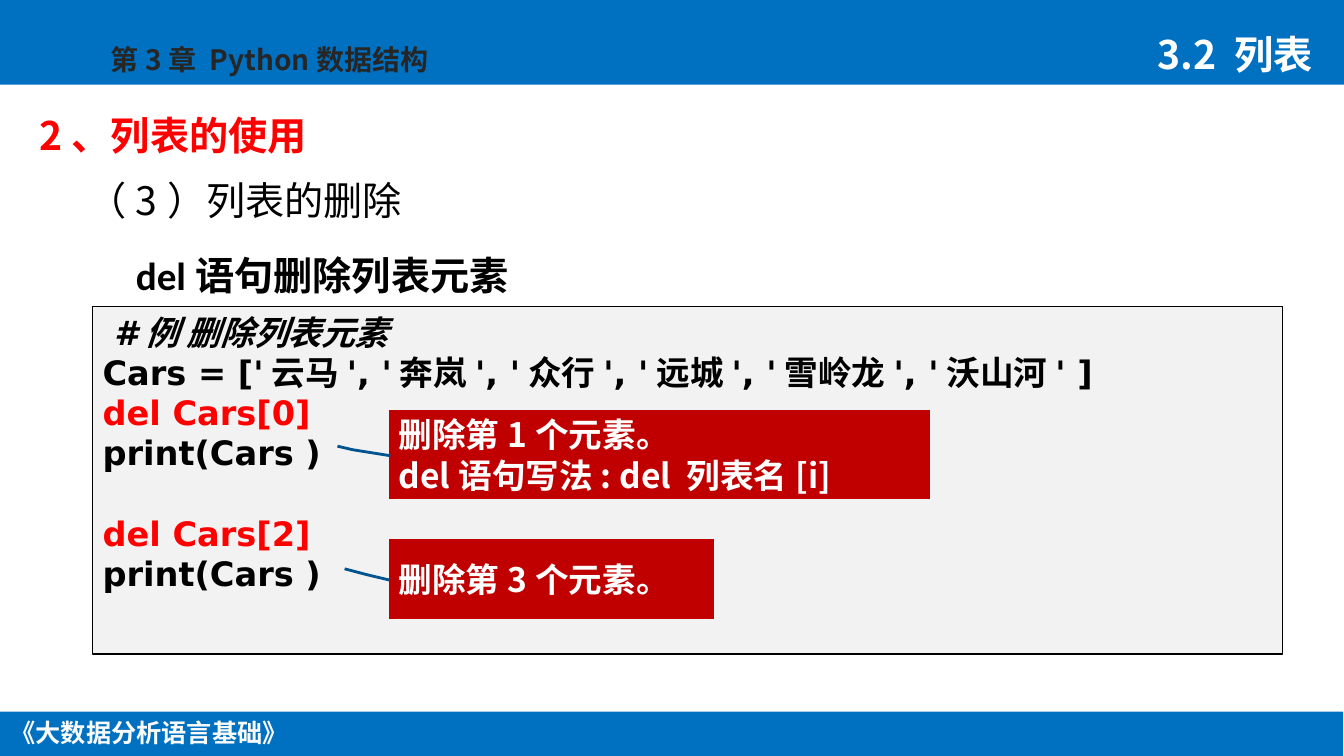
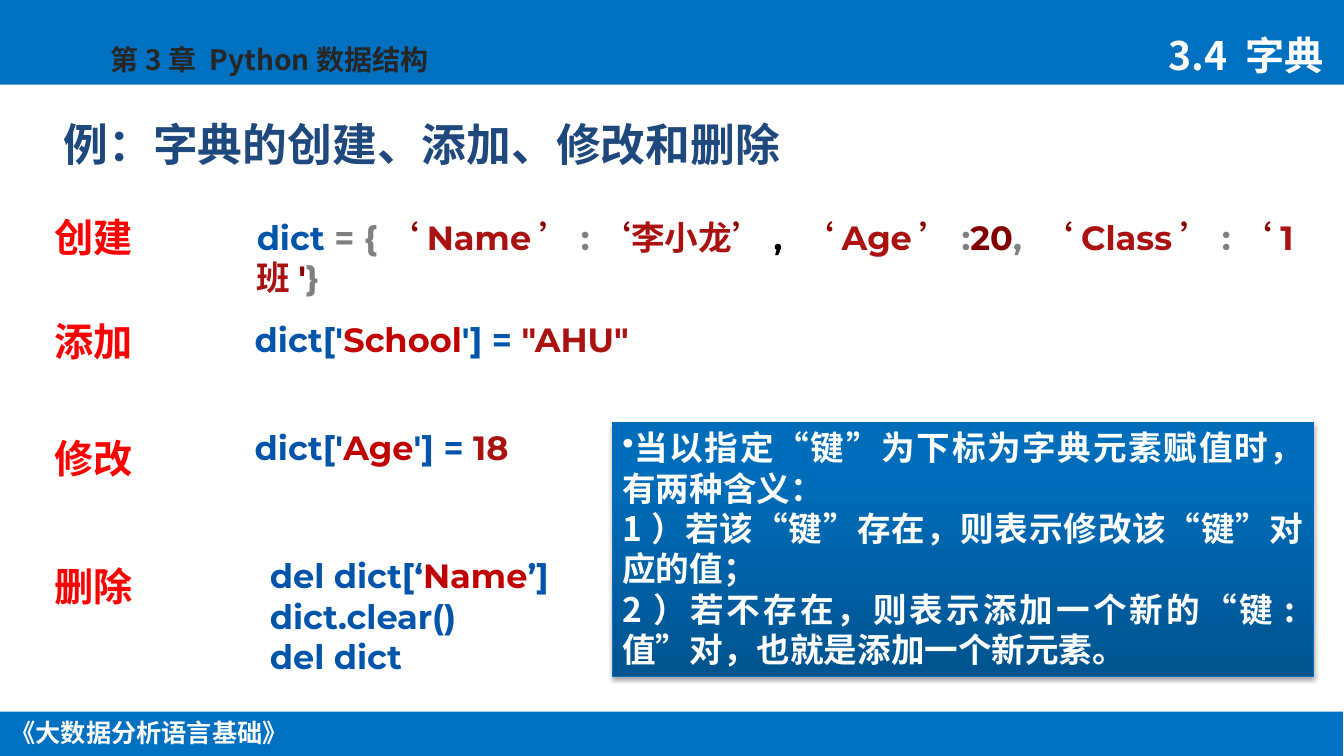
from dataclasses import dataclass

from lxml.etree import SubElement
from pptx import Presentation
from pptx.dml.color import RGBColor
from pptx.enum.shapes import MSO_SHAPE
from pptx.enum.text import MSO_ANCHOR, MSO_AUTO_SIZE, PP_ALIGN
from pptx.oxml import parse_xml
from pptx.oxml.ns import nsdecls, qn
from pptx.shapes.autoshape import Shape
from pptx.slide import Slide, SlideLayout
from pptx.util import Inches, Pt

BAND_BLUE = RGBColor(0x00, 0x70, 0xC0)
BOOK_WHITE = RGBColor(0xFA, 0xFA, 0xFA)
CHAPTER_GRAY = RGBColor(0x26, 0x26, 0x26)
WHITE = RGBColor(0xFF, 0xFF, 0xFF)
BLACK = RGBColor(0x00, 0x00, 0x00)
RED = RGBColor(0xFF, 0x00, 0x00)
TITLE_BLUE = RGBColor(0x1F, 0x49, 0x7D)
CODE_PANEL = RGBColor(0xF2, 0xF2, 0xF2)
CALLOUT_RED = RGBColor(0xC0, 0x00, 0x00)
LEADER_BLUE = RGBColor(0x00, 0x53, 0x8E)
NOTE_DARK = RGBColor(0x00, 0x54, 0x8F)
NOTE_LIGHT = RGBColor(0x00, 0x6D, 0xBB)
NOTE_EDGE = RGBColor(0x00, 0x6E, 0xBC)
NAME_BLUE = RGBColor(0x00, 0x55, 0xAA)
SIGN_GRAY = RGBColor(0x80, 0x80, 0x80)
QUOTE_RED = RGBColor(0x8B, 0x00, 0x00)
STRING_RED = RGBColor(0xAA, 0x11, 0x11)
NUMBER_RED = RGBColor(0x80, 0x00, 0x00)

CJK = "Noto Sans CJK SC"
Box = tuple[float, float, float, float]
Piece = tuple[str, RGBColor]
Line = list[Piece]


@dataclass(frozen=True)
class Style:
    size: int
    font: str = CJK
    bold: bool = True
    align: PP_ALIGN = PP_ALIGN.LEFT
    anchor: MSO_ANCHOR = MSO_ANCHOR.TOP
    spacing: float | None = None
    wrap: bool = True


HEADING = Style(28, anchor=MSO_ANCHOR.BOTTOM, spacing=0.9)
SUBHEADING = Style(28, bold=False, anchor=MSO_ANCHOR.BOTTOM, spacing=0.9)
SECTION = Style(28, align=PP_ALIGN.RIGHT, anchor=MSO_ANCHOR.BOTTOM, spacing=0.9)
EXAMPLE = Style(32, "Calibri", anchor=MSO_ANCHOR.BOTTOM, spacing=0.9)
TOPIC = Style(28, "Calibri", anchor=MSO_ANCHOR.MIDDLE)
LABEL = Style(28, anchor=MSO_ANCHOR.MIDDLE)
CALLOUT = Style(24, anchor=MSO_ANCHOR.MIDDLE)
LISTING = Style(24, "DejaVu Sans")
SNIPPET = Style(24, "Montserrat")
NOTE = Style(24, align=PP_ALIGN.JUSTIFY)
BOOK = Style(18, align=PP_ALIGN.CENTER, wrap=False)
CHAPTER = Style(20)


@dataclass(frozen=True)
class Callout:
    box: Box
    lines: list[str]
    leader_end: tuple[float, float]


@dataclass(frozen=True)
class Operation:
    label: str
    label_top: float
    code_box: Box
    code: list[Line]


CALLOUTS = [
    Callout((3.86, 4.07, 5.37, 0.88), ["删除第1个元素。", "del语句写法: del 列表名[i]"], (0.405, -0.095)),
    Callout((3.86, 5.35, 3.23, 0.79), ["删除第3个元素。"], (0.371, -0.136)),
]


def quoted(text: str) -> Line:
    return [("‘", QUOTE_RED), (text, STRING_RED), ("’", QUOTE_RED)]


def assignment(key: str, value: str) -> Line:
    return [("dict['", NAME_BLUE), (key, CALLOUT_RED), ("'] = ", NAME_BLUE), (value, STRING_RED)]


COLON: Piece = (":", SIGN_GRAY)
OPERATIONS = [
    Operation("创建", 1.99, (2.45, 2.1, 10.79, 0.5), [[
        ("dict", NAME_BLUE), (" = {", SIGN_GRAY),
        *quoted("Name"), COLON, *quoted("李小龙"), (", ", BLACK),
        *quoted("Age"), COLON, ("20", NUMBER_RED), (", ", SIGN_GRAY),
        *quoted("Class"), COLON, ("‘", QUOTE_RED), ("1班", STRING_RED),
        ("'", QUOTE_RED), ("}", SIGN_GRAY),
    ]]),
    Operation("添加", 3.03, (2.43, 3.11, 8.45, 0.5), [assignment("School", '"AHU"')]),
    Operation("修改", 4.19, (2.43, 4.19, 8.45, 0.5), [assignment("Age", "18")]),
    Operation("删除", 5.46, (2.58, 5.46, 8.45, 1.72), [
        [("del dict[‘", NAME_BLUE), ("Name", CALLOUT_RED), ("’]", NAME_BLUE)],
        [("dict.clear()", NAME_BLUE)],
        [("del dict", NAME_BLUE)],
    ]),
]


def write(shape: Shape, lines: list[Line], style: Style) -> None:
    frame = shape.text_frame
    frame.word_wrap = style.wrap
    frame.auto_size = MSO_AUTO_SIZE.NONE
    frame.vertical_anchor = style.anchor
    for index, line in enumerate(lines):
        paragraph = frame.add_paragraph() if index else frame.paragraphs[0]
        paragraph.alignment = style.align
        paragraph.line_spacing = style.spacing
        paragraph.font.size = Pt(style.size)
        paragraph.font.bold = style.bold
        paragraph.font.name = style.font
        latin = paragraph.font._rPr.find(qn("a:latin"))
        latin.addnext(parse_xml(f'<a:ea {nsdecls("a")} typeface="{CJK}"/>'))
        for text, color in line:
            run = paragraph.add_run()
            run.text = text
            run.font.color.rgb = color


def plain(color: RGBColor, *texts: str) -> list[Line]:
    return [[(text, color)] for text in texts]


def add_text(slide: Slide, box: Box, lines: list[Line], style: Style) -> Shape:
    shape = slide.shapes.add_textbox(*map(Inches, box))
    write(shape, lines, style)
    return shape


def add_block(slide: Slide, box: Box, fill: RGBColor,
              kind: MSO_SHAPE = MSO_SHAPE.RECTANGLE) -> Shape:
    shape = slide.shapes.add_shape(kind, *map(Inches, box))
    shape.shadow.inherit = False
    shape.fill.solid()
    shape.fill.fore_color.rgb = fill
    shape.line.fill.background()
    return shape


def set_title(slide: Slide, box: Box, text: str, color: RGBColor, style: Style) -> None:
    title = slide.shapes.title
    title.left, title.top, title.width, title.height = map(Inches, box)
    write(title, plain(color, text), style)


def move_frame_to_layout(slide: Slide, layout: SlideLayout) -> None:
    """Draw the bands and running texts, then hand them to the layout."""
    frame = [
        add_block(slide, (0, 0, 13.34, 0.84), BAND_BLUE),
        add_block(slide, (-0.01, 7.06, 13.34, 0.45), BAND_BLUE),
        add_text(slide, (-0.01, 7.07, 2.98, 0.4), plain(BOOK_WHITE, "《大数据分析语言基础》"), BOOK),
        add_text(slide, (1, 0.37, 3.78, 0.44), plain(CHAPTER_GRAY, "第3章 Python数据结构"), CHAPTER),
    ]
    for shape in frame:
        layout.shapes.element.append(shape._element)


def add_callout(slide: Slide, callout: Callout) -> None:
    shape = add_block(slide, callout.box, CALLOUT_RED, MSO_SHAPE.LINE_CALLOUT_2_NO_BORDER)
    shape.line.color.rgb = LEADER_BLUE
    shape.line.width = Pt(2)
    for index, value in enumerate((0.513, 0.003, 0.445, -0.067, *callout.leader_end)):
        shape.adjustments[index] = value
    write(shape, plain(WHITE, *callout.lines), CALLOUT)


def add_note(slide: Slide) -> None:
    note = add_block(slide, (6.08, 4.19, 6.96, 2.52), NOTE_LIGHT)
    note.fill.gradient()
    note.fill.gradient_angle = 90
    for stop, position, color in zip(note.fill.gradient_stops, (0, 0.8), (NOTE_DARK, NOTE_LIGHT)):
        stop.position = position
        stop.color.rgb = color
    note.line.color.rgb = NOTE_EDGE
    note.line.width = Pt(0.75)
    effects = note._element.spPr.find(qn("a:effectLst"))
    shadow = SubElement(effects, qn("a:outerShdw"), blurRad=str(Pt(3.1)), dist=str(Pt(1.8)),
                        dir="5400000", rotWithShape="0")
    black = SubElement(shadow, qn("a:srgbClr"), val=str(BLACK))
    SubElement(black, qn("a:alpha"), val="35000")
    write(note, plain(
        WHITE,
        "当以指定“键”为下标为字典元素赋值时，有两种含义：",
        "1）若该“键”存在，则表示修改该“键”对应的值；",
        "2）若不存在，则表示添加一个新的“键:值”对，也就是添加一个新元素。",
    ), NOTE)
    properties = note.text_frame.paragraphs[0]._p.get_or_add_pPr()
    bullet = parse_xml(f'<a:buChar {nsdecls("a")} char="•"/>')
    properties.insert_element_before(bullet, "a:defRPr")


def build_list_slide(slide: Slide) -> None:
    set_title(slide, (0.29, 1.15, 8.36, 0.48), "2、列表的使用", RED, HEADING)
    add_text(slide, (0.77, 1.79, 8.36, 0.48), plain(BLACK, "（3）列表的删除"), SUBHEADING)
    add_text(slide, (11.17, 0.08, 1.96, 0.74), plain(WHITE, "3.2 列表"), SECTION)
    add_text(slide, (1.25, 2.26, 8.83, 0.94), plain(BLACK, "del语句删除列表元素"), TOPIC)
    panel = add_block(slide, (0.92, 3.04, 11.81, 3.45), CODE_PANEL)
    panel.line.color.rgb = BLACK
    panel.line.width = Pt(1)
    write(panel, [
        *plain(BLACK, " #例 删除列表元素",
               "Cars = ['云马', '奔岚', '众行', '远城', '雪岭龙', '沃山河' ]"),
        *plain(RED, "del Cars[0]"),
        *plain(BLACK, "print(Cars )"),
        *plain(RED, "del Cars[2]"),
        *plain(BLACK, "print(Cars )"),
    ], LISTING)
    code_lines = panel.text_frame.paragraphs
    code_lines[0].font.italic = True
    code_lines[4].space_before = Pt(28.8)
    for callout in CALLOUTS:
        add_callout(slide, callout)


def build_dict_slide(slide: Slide) -> None:
    set_title(slide, (0.53, 1.08, 9.02, 0.67), "例：字典的创建、添加、修改和删除", TITLE_BLUE, EXAMPLE)
    add_text(slide, (10.92, 0.09, 2.32, 0.74), plain(WHITE, "3.4 字典"), SECTION)
    for operation in OPERATIONS:
        label = add_block(slide, (0.44, operation.label_top, 2.01, 0.71), WHITE)
        write(label, plain(RED, operation.label), LABEL)
        add_text(slide, operation.code_box, operation.code, SNIPPET)
    add_note(slide)


def main() -> None:
    deck = Presentation()
    deck.slide_width, deck.slide_height = Inches(13.34), Inches(7.5)
    layout = deck.slide_layouts.get_by_name("Title Only")
    list_slide, dict_slide = (deck.slides.add_slide(layout) for _ in range(2))
    move_frame_to_layout(list_slide, layout)
    build_list_slide(list_slide)
    build_dict_slide(dict_slide)
    deck.save("out.pptx")


if __name__ == "__main__":
    main()
